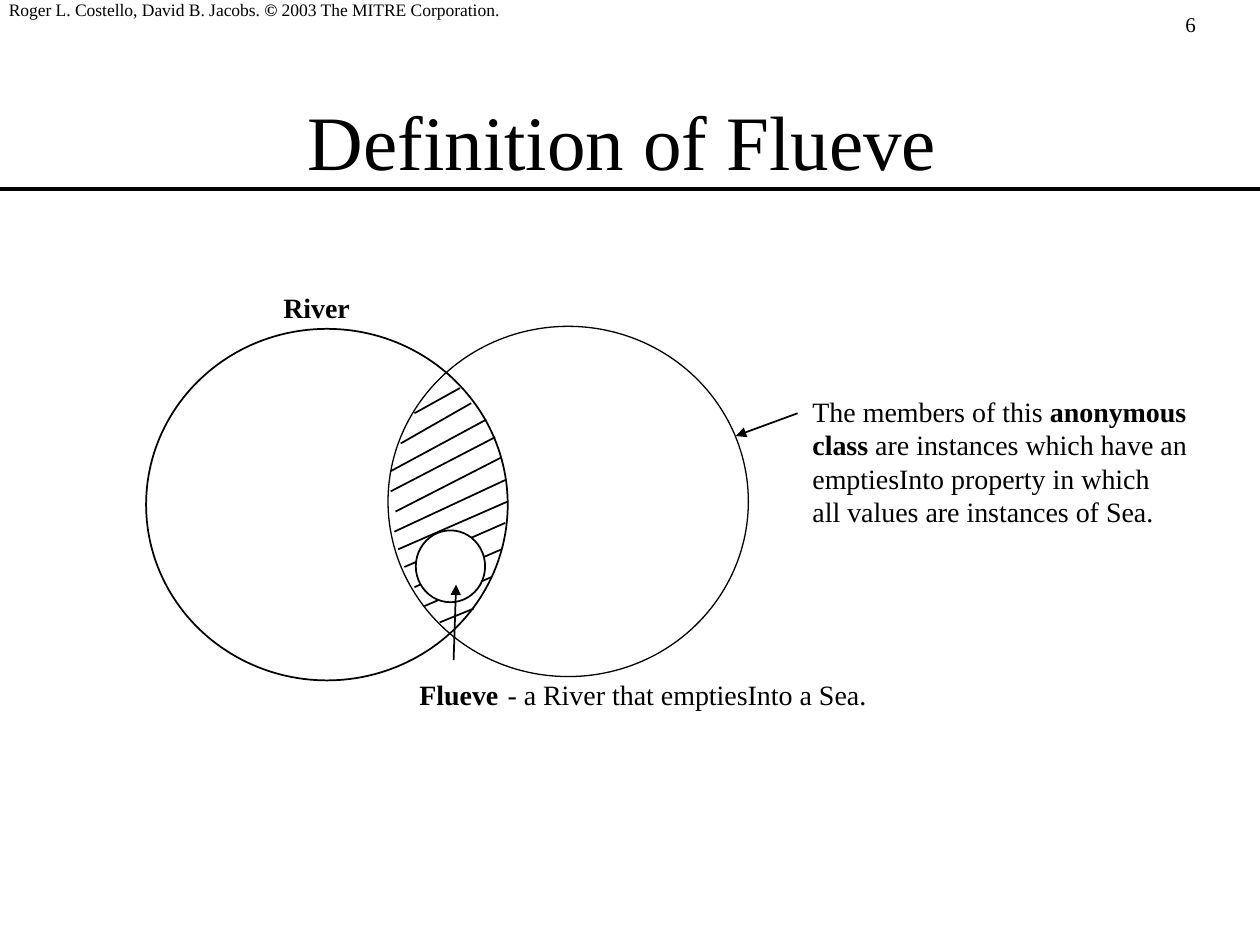
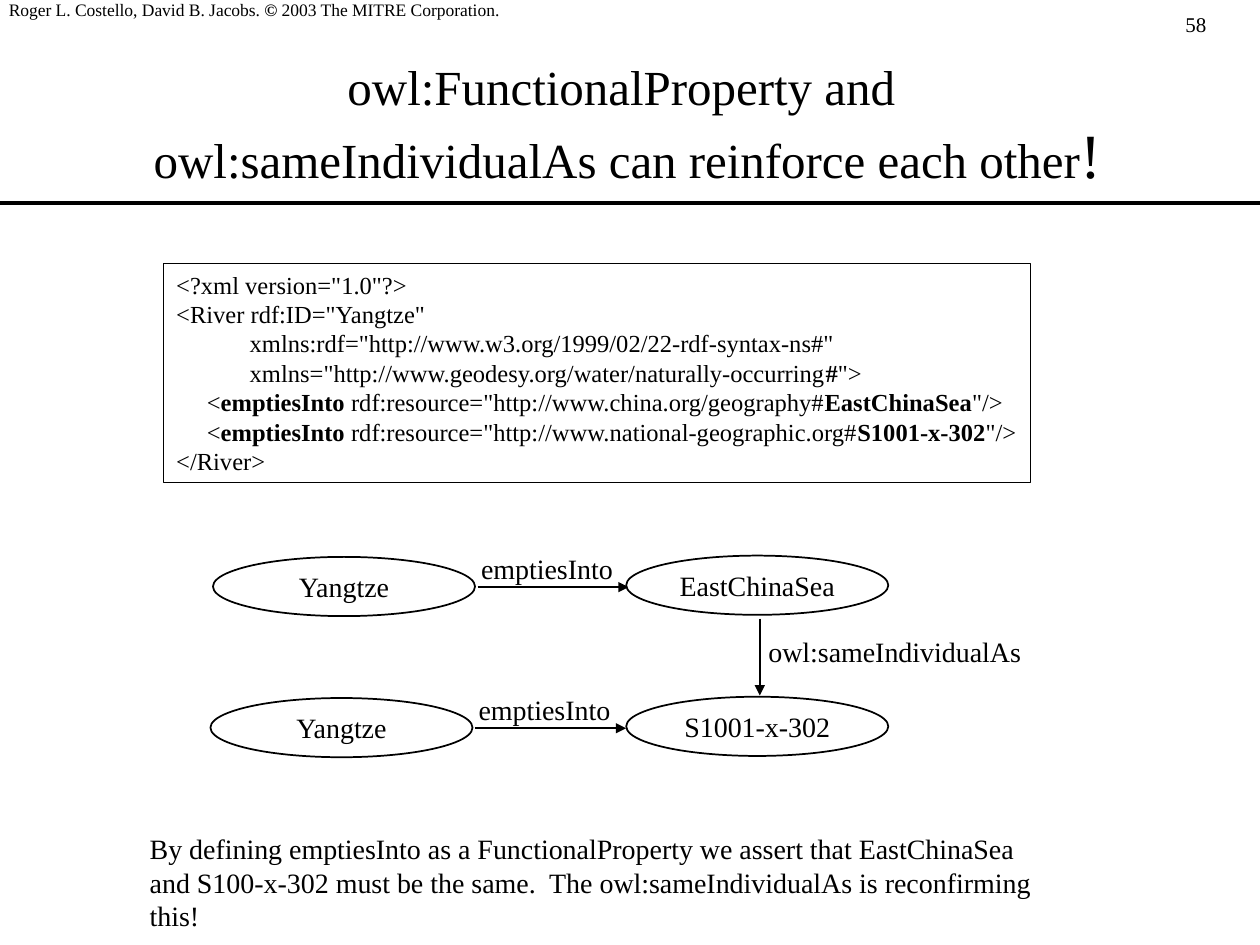
from dataclasses import dataclass

from lxml import etree
from pptx import Presentation
from pptx import util as u
from pptx.dml.color import RGBColor
from pptx.enum import shapes, text
from pptx.oxml.ns import qn

PX = 9144  # EMU per px, 100 px to the inch
SLIDE_W, SLIDE_H = 1000, 750


@dataclass(frozen=True)
class Theme:
    font: str = "Times New Roman"
    ink: RGBColor = RGBColor(0, 0, 0)
    paper: RGBColor = RGBColor(255, 255, 255)
    title: int = 44
    long_title: int = 28
    title_mark: int = 36
    body: int = 16
    code: int = 14
    page_number: int = 12
    credit: int = 10
    rule: float = 2
    stroke: float = 1
    thin: float = 0.75


THEME = Theme()


def px(*lengths):
    return [u.Emu(length * PX) for length in lengths]


# Text
def write(frame, content, size=THEME.body, align=text.PP_ALIGN.LEFT,
          anchor=text.MSO_ANCHOR.TOP, wrap=False, grow=True,
          accent_size=None, margins=(10, 5)):
    """Fill a frame, one paragraph a line; **marked** parts are bold or resized."""
    side, edge = px(*margins)
    frame.margin_left = frame.margin_right = side
    frame.margin_top = frame.margin_bottom = edge
    frame.vertical_anchor = anchor
    frame.word_wrap = wrap
    frame.auto_size = (text.MSO_AUTO_SIZE.SHAPE_TO_FIT_TEXT if grow
                       else text.MSO_AUTO_SIZE.NONE)
    for row, line in enumerate(content.split("\n")):
        paragraph = frame.add_paragraph() if row else frame.paragraphs[0]
        paragraph.alignment = align
        for part, words in enumerate(line.split("**")):
            if not words:
                continue
            accented = part % 2 == 1
            run = paragraph.add_run()
            run.text = words
            run.font.name = THEME.font
            run.font.color.rgb = THEME.ink
            run.font.bold = accented and accent_size is None
            run.font.size = u.Pt(accent_size if accented and accent_size else size)


def label(slide, box, content, **style):
    write(slide.shapes.add_textbox(*px(*box)).text_frame, content, **style)


# Lines and outlines
def outline(line, width):
    line.color.rgb = THEME.ink
    line.width = u.Pt(width)


def stroke(slide, start, end, width=THEME.stroke, arrow=False):
    connector = slide.shapes.add_connector(
        shapes.MSO_CONNECTOR.STRAIGHT, *px(*start, *end))
    outline(connector.line, width)
    properties = connector._element.spPr
    if arrow:
        etree.SubElement(properties.find(qn("a:ln")), qn("a:tailEnd"), type="triangle")
    etree.SubElement(properties, qn("a:effectLst"))


def outlined(slide, kind, box, width=THEME.stroke, filled=True):
    shape = slide.shapes.add_shape(kind, *px(*box))
    shape.shadow.inherit = False
    if filled:
        shape.fill.solid()
        shape.fill.fore_color.rgb = THEME.paper
    else:
        shape.fill.background()
    outline(shape.line, width)
    return shape


def ellipse(slide, box, **style):
    return outlined(slide, shapes.MSO_SHAPE.OVAL, box, **style)


# Frame shared by both slides
def framed_slide(deck, number, title, box, rule_y, **title_style):
    slide = deck.slides.add_slide(deck.slide_layouts[5])
    heading = slide.shapes.title
    heading.left, heading.top, heading.width, heading.height = px(*box)
    write(heading.text_frame, title, align=text.PP_ALIGN.CENTER,
          anchor=text.MSO_ANCHOR.MIDDLE, wrap=True, grow=False, **title_style)
    label(slide, (931, 4, 69, 30), str(number), size=THEME.page_number)
    label(slide, (0, -1, 410, 16),
          "Roger L. Costello, David B. Jacobs. **©** 2003 The MITRE Corporation.",
          size=THEME.credit, margins=(7, 0))
    stroke(slide, (0, rule_y), (SLIDE_W, rule_y), width=THEME.rule)
    return slide


# Overlapping classes; hatching is relative to the diagram's top left
HATCHING = [
    (249, 49, 213, 69), (258, 61, 202, 93), (270, 74, 194, 115),
    (277, 88, 194, 131), (282, 104, 198, 147), (285, 122, 197, 163),
    (287, 139, 200, 177), (285, 156, 205, 191), (282, 177, 213, 207),
    (274, 199, 221, 222), (260, 224, 233, 235),
]


def class_overlap(slide, x, y):
    ellipse(slide, (x, y + 2, 287, 279))
    ellipse(slide, (x + 192, y, 286, 278), width=THEME.thin, filled=False)
    for x1, y1, x2, y2 in HATCHING:
        stroke(slide, (x + x1, y + y1), (x + x2, y + y2))
    ellipse(slide, (x + 214, y + 162, 55, 57))

    label(slide, (x + 99, y - 33, 80, 37), "**River**")
    label(slide, (x + 207, y + 274, 88, 37), "**Flueve**")
    label(slide, (x + 277, y + 274, 320, 37), "- a River that emptiesInto a Sea.")
    stroke(slide, (x + 244, y + 265), (x + 246, y + 205), arrow=True)
    label(slide, (x + 519, y + 49, 330, 117),
          "The members of this **anonymous**\n"
          "**class** are instances which have an\n"
          "emptiesInto property in which\n"
          "all values are instances of Sea.")
    stroke(slide, (x + 517, y + 69), (x + 468, y + 87), arrow=True)


# River instance document
YANGTZE_XML = """<?xml version="1.0"?>
<River rdf:ID="Yangtze"
            xmlns:rdf="http://www.w3.org/1999/02/22-rdf-syntax-ns#"
            xmlns="http://www.geodesy.org/water/naturally-occurring**#**">
     <**emptiesInto** rdf:resource="http://www.china.org/geography#**EastChinaSea**"/>
     <**emptiesInto** rdf:resource="http://www.national-geographic.org#**S1001-x-302**"/>
</River>"""


def code_listing(slide, box):
    listing = outlined(slide, shapes.MSO_SHAPE.RECTANGLE, box,
                       width=THEME.thin, filled=False)
    write(listing.text_frame, YANGTZE_XML, size=THEME.code)


# Two statements about one river, joined by the identity of their seas
def node(slide, x, y, name):
    write(ellipse(slide, (x, y, 208, 47)).text_frame, name,
          align=text.PP_ALIGN.CENTER, anchor=text.MSO_ANCHOR.MIDDLE, grow=False)


def identity_graph(slide, x, y):
    row_gap, sea_x = 112, x + 330
    for row, (sea, river_x) in enumerate([("EastChinaSea", x + 2), ("S1001-x-302", x)]):
        top = y + row * row_gap
        node(slide, river_x, top + 1, "Yangtze")
        stroke(slide, (river_x + 210, top + 25), (river_x + 330, top + 25), arrow=True)
        label(slide, (river_x + 203, top - 8, 140, 37), "emptiesInto")
        node(slide, sea_x, top, sea)
    stroke(slide, (sea_x + 106, y + 50), (sea_x + 106, y + row_gap - 1), arrow=True)
    label(slide, (sea_x + 103, y + 58, 240, 37), "owl:sameIndividualAs")


def flueve_slide(deck):
    slide = framed_slide(deck, 6, "Definition of Flueve", (69, 48, 850, 125), 150,
                         size=THEME.title)
    class_overlap(slide, 116, 259)


def reinforcement_slide(deck):
    slide = framed_slide(
        deck, 58,
        "owl:FunctionalProperty and \nowl:sameIndividualAs can reinforce each other**!**",
        (73, 36, 850, 125), 161,
        size=THEME.long_title, accent_size=THEME.title_mark)
    code_listing(slide, (130, 209, 688, 174))
    identity_graph(slide, 167, 441)
    label(slide, (109, 655, 740, 90),
          "By defining emptiesInto as a FunctionalProperty we assert that EastChinaSea\n"
          "and S100-x-302 must be the same.  The owl:sameIndividualAs is reconfirming\n"
          "this!")


def main():
    deck = Presentation()
    deck.slide_width, deck.slide_height = px(SLIDE_W, SLIDE_H)
    flueve_slide(deck)
    reinforcement_slide(deck)
    deck.save("out.pptx")


if __name__ == "__main__":
    main()
